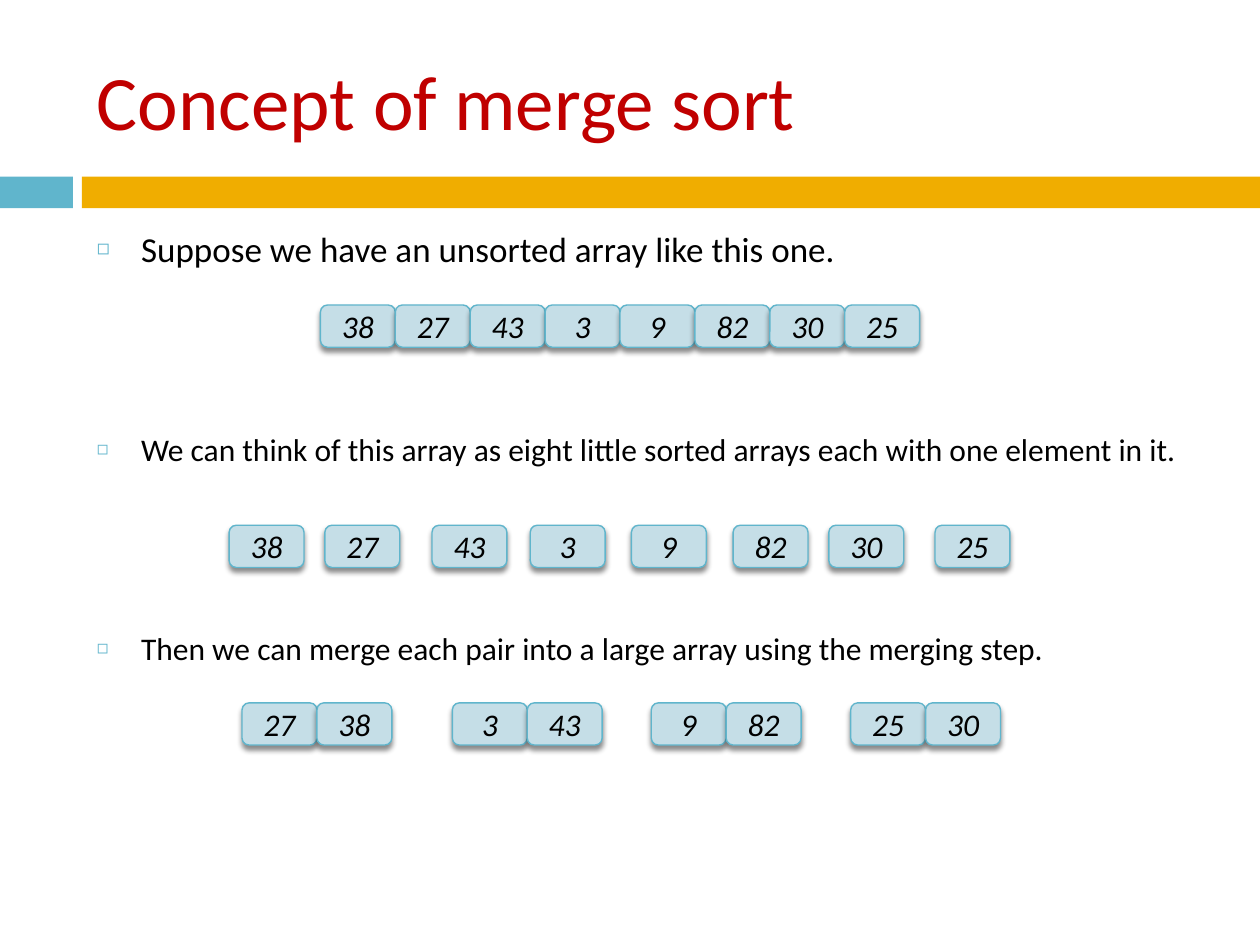
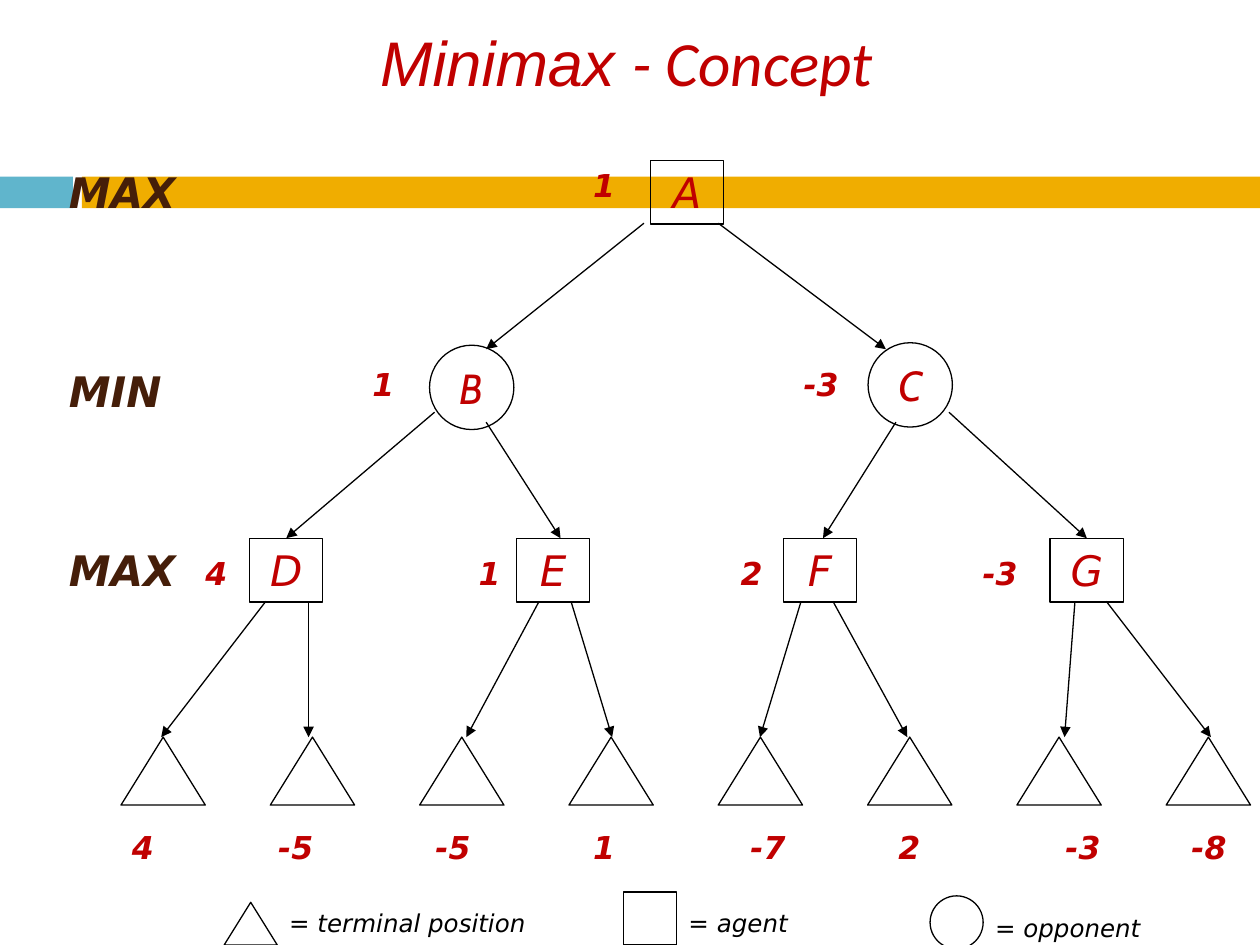
from dataclasses import dataclass

from lxml.etree import SubElement as Sub
from pptx import Presentation
from pptx.dml.color import RGBColor as Rgb
from pptx.enum.shapes import MSO_CONNECTOR as Link, MSO_SHAPE as Kind
from pptx.enum.text import MSO_ANCHOR as Anchor, MSO_AUTO_SIZE as Fit, PP_ALIGN as Align
from pptx.oxml.ns import qn
from pptx.util import Cm, Pt


@dataclass(frozen=True)
class Theme:
    red: str = "C00000"
    black: str = "000000"
    brown: str = "451E09"
    blue: str = "60B5CC"
    gold: str = "F0AD00"
    pale: str = "C5DEE7"
    sans: str = "Calibri"
    tree: str = "DejaVu Sans"
    round: str = "Cabin"
    head: int = 44
    sub: int = 36
    node: int = 24
    lead: int = 20
    text: int = 18
    note: int = 14


T = Theme()

# Shared bands: left, width, colour (all lengths in cm)
WIDE, HIGH = 25.4, 19.05
BANDS = [(0, 1.47, T.blue), (1.65, 23.75, T.gold)]

# Merge sort: bullets, then rows of arrays as (top, [(left, values)])
SORT = "Concept of merge sort"
STEPS = [
    ("Suppose we have an unsorted array like this one.", T.lead),
    ("We can think of this array as eight little sorted arrays each with one element in it.", T.text),
    ("Then we can merge each pair into a large array using the merging step.", T.text),
]
DATA = [38, 27, 43, 3, 9, 82, 30, 25]
LEFTS = [4.62, 6.55, 8.71, 10.69, 12.73, 14.78, 16.71, 18.85]
ROWS = [
    (6.15, [(6.46, DATA)]),
    (10.59, [(x, [n]) for x, n in zip(LEFTS, DATA)]),
    (14.17, [(4.88, [27, 38]), (9.12, [3, 43]), (13.13, [9, 82]), (17.15, [25, 30])]),
]
CELL_W, CELL_H = 1.51, 0.85

# Minimax: levels, nodes, scores and arrows of the tree
GAME = [("Minimax ", "Arial"), ("- Concept", T.sans)]
BOX_W, BOX_H, DISC, TRI_H = 1.48, 1.29, 1.7, 1.37
MAX_Y, LOW_Y, LEAF_Y = 3.23, 10.85, 14.86
LEVELS = [("MAX", MAX_Y), ("MIN", 7.24), ("MAX", LOW_Y)]
BOXES = [("A", 13.11, MAX_Y)] + [(c, 5.03 + 5.38 * i, LOW_Y) for i, c in enumerate("DEFG")]
DISCS = [("B", 8.66, 6.96), ("C", 17.5, 6.91)]
LEAVES = [2.44 + 3.01 * i for i in range(8)]
SCORES = [  # top, box width, [(value, left)]
    (MAX_Y, 1.07, [("1", 11.71)]),
    (7.24, 1.47, [("1", 7.26), ("-3", 15.95)]),
    (11.05, 1.27, [("4", 3.89), ("1", 9.4), ("2", 14.68), ("-3", 19.56)]),
    (16.56, 2.54, [("4", 2.41), ("-5", 5.36), ("-5", 8.53), ("1", 11.71),
                   ("-7", 14.88), ("2", 17.86), ("-3", 21.23), ("-8", 23.77)]),
]
ARROWS = [  # from x, y, to x, y, box joined at its top
    (12.98, 4.5, 9.8, 7.04, ""), (14.48, 4.5, 17.86, 7.04, ""),
    (8.76, 8.31, 5.79, LOW_Y, "D"), (9.8, 8.51, 11.3, LOW_Y, ""),
    (18.06, 8.51, 16.59, LOW_Y, ""), (19.13, 8.31, 21.87, LOW_Y, "G"),
]
DROPS = [(5.36, 3.25), (6.22, 6.22), (10.87, 9.4), (11.51, 12.34),
         (16.15, 15.32), (16.79, 18.29), (21.67, 21.46), (22.3, 24.41)]
ARROWS += [(a, 12.12, b, LEAF_Y, "") for a, b in DROPS]
KEY = [  # kind, left, top, height, meaning, text top
    (Kind.ISOSCELES_TRIANGLE, 4.52, 18.19, 0.86, "= terminal position", 18.19),
    (Kind.RECTANGLE, 12.57, 17.98, 1.07, "= agent", 18.19),
    (Kind.OVAL, 18.75, 18.06, 1.07, "= opponent", 18.29),
]


# Helpers
def color(code):
    return Rgb.from_string(code)


def style(para, size, ink, face=None, bold=False, italic=False):
    font = para.font
    font.size, font.bold, font.italic = Pt(size), bold, italic
    font.color.rgb = color(ink)
    if face:
        font.name = face


def place(shape, x, y, w, h):
    shape.left, shape.top, shape.width, shape.height = Cm(x), Cm(y), Cm(w), Cm(h)


def draw(slide, kind, x, y, w, h, fill=None, line=T.black, weight=0.75):
    shape = slide.shapes.add_shape(kind, Cm(x), Cm(y), Cm(w), Cm(h))
    shape.shadow.inherit = False
    if fill:
        shape.fill.solid()
        shape.fill.fore_color.rgb = color(fill)
    else:
        shape.fill.background()
    if line:
        shape.line.color.rgb = color(line)
        shape.line.width = Pt(weight)
    else:
        shape.line.fill.background()
    return shape


def label(shape, text, size, ink, face, anchor=Anchor.MIDDLE, bold=False, align=Align.CENTER):
    frame = shape.text_frame
    frame.text = text
    frame.vertical_anchor = anchor
    para = frame.paragraphs[0]
    para.alignment = align
    style(para, size, ink, face, bold, True)
    return frame


def write(slide, text, x, y, w, h, size, ink, bold=True):
    box = slide.shapes.add_textbox(Cm(x), Cm(y), Cm(w), Cm(h))
    frame = label(box, text, size, ink, T.tree, Anchor.TOP, bold, Align.LEFT)
    frame.word_wrap = True


def title(slide, runs, spot, size, align, italic=False):
    shape = slide.shapes.title
    place(shape, *spot)
    frame = shape.text_frame
    frame.auto_size, frame.vertical_anchor = Fit.NONE, Anchor.MIDDLE
    para = frame.paragraphs[0]
    para.alignment = align
    for text, face in runs:
        run = para.add_run()
        run.text, run.font.name = text, face
    style(para, size, T.red, italic=italic)


def bullet(para):
    props = para._p.get_or_add_pPr()
    props.set("marL", str(Cm(0.89)))
    props.set("indent", str(-Cm(0.89)))
    Sub(Sub(props, qn("a:buClr")), qn("a:srgbClr"), val=T.blue)
    Sub(props, qn("a:buSzPct"), val="60000")
    Sub(props, qn("a:buChar"), char="◻")


def shade(shape):
    effects = shape.element.spPr.find(qn("a:effectLst"))
    outer = Sub(effects, qn("a:outerShdw"), blurRad=str(Pt(3)), dist=str(Pt(2.4)),
                dir="5400000", algn="ctr", rotWithShape="0")
    ink = Sub(outer, qn("a:srgbClr"), val=T.black)
    Sub(ink, qn("a:alpha"), val="45000")


def arrow(slide, x1, y1, x2, y2, goal=None):
    line = slide.shapes.add_connector(Link.STRAIGHT, Cm(x1), Cm(y1), Cm(x2), Cm(y2))
    if goal is not None:
        line.end_connect(goal, 0)
    line.line.color.rgb = color(T.black)
    line.line.width = Pt(0.75)
    Sub(line.line._get_or_add_ln(), qn("a:tailEnd"), type="triangle")
    Sub(line.element.spPr, qn("a:effectLst"))


def add_bands(deck, slide):
    """Draw the bands and move them to the master."""
    tree = deck.slide_master.element.cSld.spTree
    for i, (x, w, fill) in enumerate(BANDS):
        band = draw(slide, Kind.RECTANGLE, x, 3.56, w, 0.64, fill, None)
        band.element.nvSpPr.cNvPr.set("id", str(20 + i))
        tree.insert(2 + i, band.element)


# Slides
def sort_slide(deck):
    slide = deck.slides.add_slide(deck.slide_layouts[1])
    add_bands(deck, slide)
    title(slide, [(SORT, T.sans)], (1.7, 0.64, 22.66, 2.74), T.head, Align.LEFT)
    body = slide.placeholders[1]
    place(body, 1.7, 4.45, 22.86, 13.64)
    frame = body.text_frame
    frame.auto_size = Fit.NONE
    for i, (text, size) in enumerate(STEPS):
        para = frame.add_paragraph() if i else frame.paragraphs[0]
        para.text = text
        para.space_before = Pt(92 if i else 0)
        bullet(para)
        style(para, size, T.black, T.sans)
    for y, groups in ROWS:
        for x, values in groups:
            for i, n in enumerate(values):
                cell = draw(slide, Kind.ROUNDED_RECTANGLE, x + i * CELL_W, y,
                            CELL_W, CELL_H, T.pale, T.blue, 0.79)
                shade(cell)
                label(cell, str(n), T.text, T.black, T.sans)


def game_slide(deck):
    slide = deck.slides.add_slide(deck.slide_layouts[5])
    title(slide, GAME, (3.1, 0.33, 19.05, 1.8), T.sub, Align.CENTER, True)
    for text, y in LEVELS:
        write(slide, text, 1.14, y, 2.8, 1.27, T.node, T.brown)
    # Nodes
    boxes = {}
    for name, x, y in BOXES:
        boxes[name] = draw(slide, Kind.RECTANGLE, x, y, BOX_W, BOX_H)
        label(boxes[name], name, T.node, T.red, T.tree, Anchor.TOP)
    for name, x, y in DISCS:
        disc = draw(slide, Kind.OVAL, x, y, DISC, DISC)
        label(disc, name, T.node, T.red, T.round).word_wrap = False
    for x in LEAVES:
        draw(slide, Kind.ISOSCELES_TRIANGLE, x, LEAF_Y, DISC, TRI_H)
    # Arrows and scores
    for *ends, name in ARROWS:
        arrow(slide, *ends, boxes.get(name))
    for y, w, marks in SCORES:
        for text, x in marks:
            write(slide, text, x, y, min(w, WIDE - x), 1.02, T.text, T.red)
    # Key
    for kind, x, y, h, text, top in KEY:
        draw(slide, kind, x, y, 1.07, h)
        write(slide, text, x + 1.06, top, 5.5, 0.85, T.note, T.black, False)


def main():
    deck = Presentation()
    deck.slide_width, deck.slide_height = Cm(WIDE), Cm(HIGH)
    sort_slide(deck)
    game_slide(deck)
    deck.save("out.pptx")


if __name__ == "__main__":
    main()
